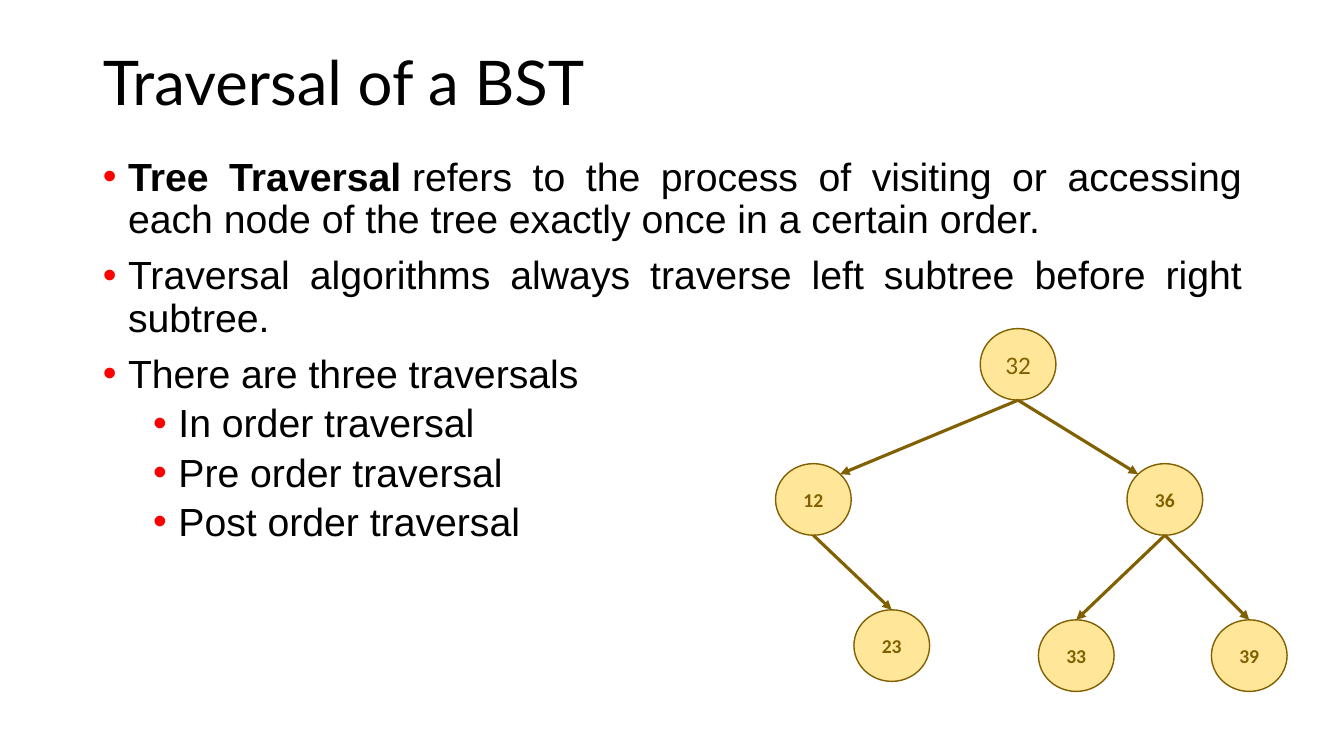
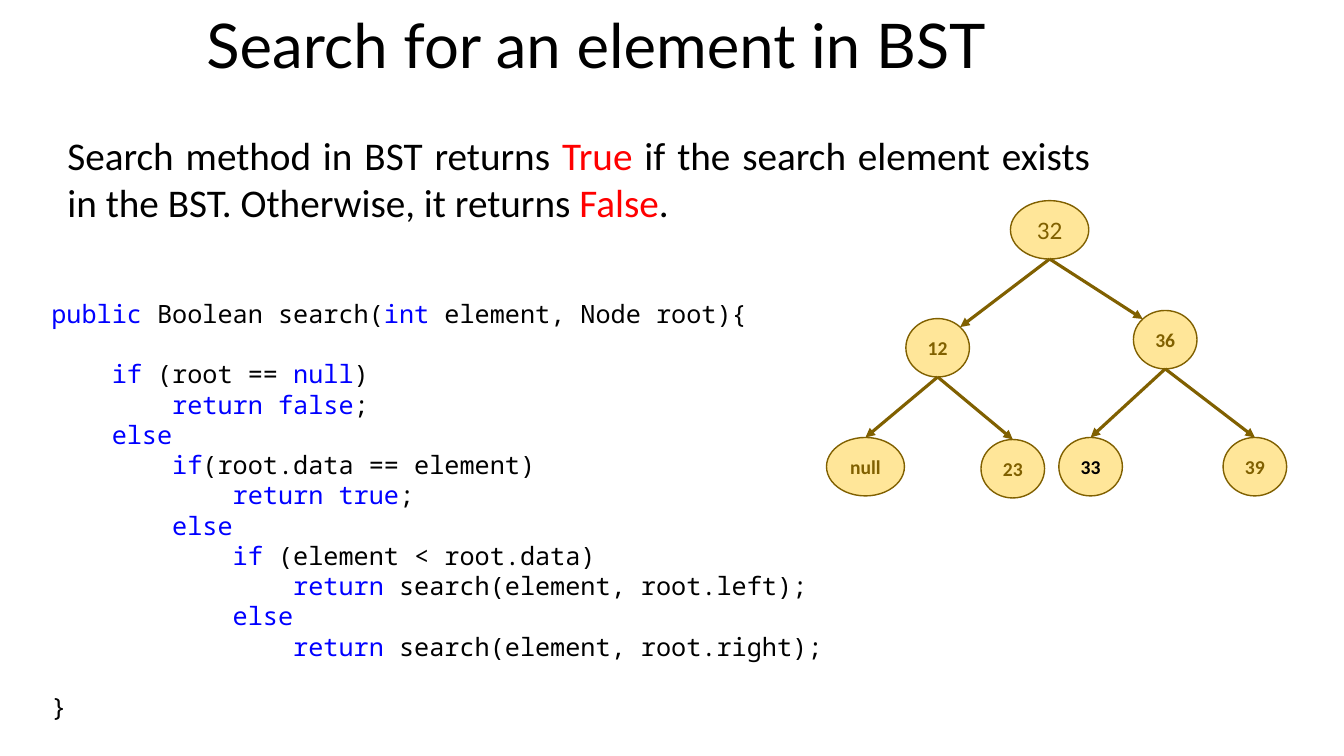
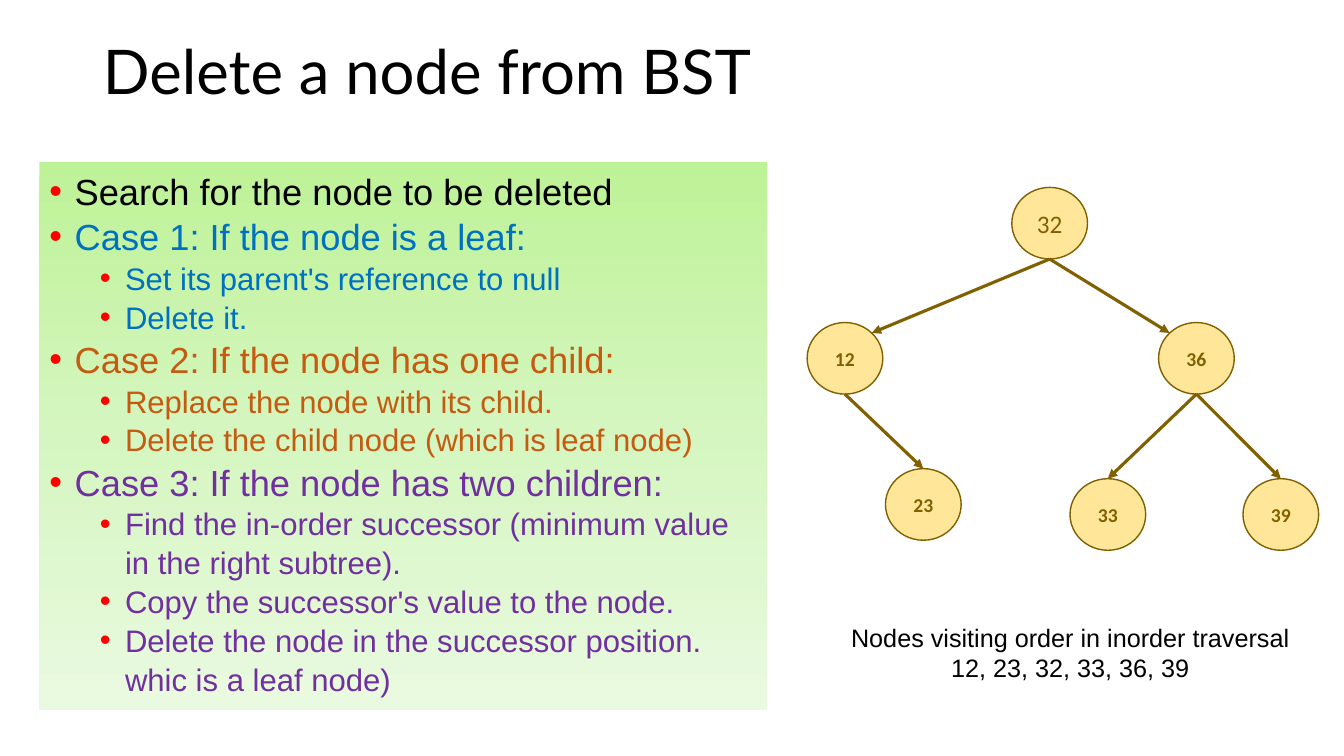
from copy import deepcopy

from lxml import etree
from pptx import Presentation
from pptx.dml.color import RGBColor
from pptx.enum.shapes import MSO_CONNECTOR, MSO_SHAPE
from pptx.enum.text import MSO_ANCHOR, MSO_AUTO_SIZE, PP_ALIGN
from pptx.oxml.ns import qn
from pptx.util import Inches, Pt

LEFT, CENTER, JUSTIFY = PP_ALIGN.LEFT, PP_ALIGN.CENTER, PP_ALIGN.JUSTIFY
MIDDLE, NO_FIT = MSO_ANCHOR.MIDDLE, MSO_AUTO_SIZE.NONE
ELLIPSE, STRAIGHT = MSO_SHAPE.OVAL, MSO_CONNECTOR.STRAIGHT

BLACK = RGBColor(0x00, 0x00, 0x00)
RED = RGBColor(0xFF, 0x00, 0x00)
KEYWORD_BLUE = RGBColor(0x00, 0x00, 0xFF)
CASE_BLUE = RGBColor(0x00, 0x70, 0xC0)
CASE_ORANGE = RGBColor(0xC5, 0x5A, 0x11)
CASE_PURPLE = RGBColor(0x70, 0x30, 0xA0)
GOLD = RGBColor(0xFF, 0xE6, 0x99)
DARK_GOLD = RGBColor(0x80, 0x60, 0x00)
GREENS = [RGBColor(0xBE, 0xF2, 0x97), RGBColor(0xD5, 0xF6, 0xC0), RGBColor(0xEA, 0xFA, 0xE0)]

TITLE_FONT, BODY_FONT, NODE_FONT, CODE_FONT = "Lato", "Arial", "Calibri", "Noto Sans Mono"
SLIDE_W, SLIDE_H = Inches(13.333), Inches(7.5)
TITLE_ONLY, TITLE_AND_BODY = 5, 1
CODE_LINE = Pt(21.6)
DIAGONAL = 0.5 ** 0.5

# Nodes: label -> (parent, x and y offset of the centre from the root)
PLAIN_TREE = {
    "32": (None, 0, 0),
    "12": ("32", -15.23, 17.87),
    "36": ("32", 10.92, 17.87),
    "23": ("12", -9.4, 37.2),
    "33": ("36", 4.33, 38.53),
    "39": ("36", 17.2, 38.53),
}
SEARCH_TREE = {
    "32": (None, 0, 0),
    "12": ("32", -8.33, 15.6),
    "36": ("32", 8.6, 14.53),
    "null": ("12", -13.7, 31.33),
    "23": ("12", -2.74, 31.6),
    "33": ("36", 3.05, 31.33),
    "39": ("36", 15.27, 31.33),
}

TRAVERSAL_ITEMS = [
    (0, "|Tree Traversal\u00a0|refers to the process of visiting or accessing each node "
        "of the tree exactly once in a certain order.", BLACK),
    (0, "Traversal algorithms always traverse left subtree before right subtree.", BLACK),
    (0, "There are three traversals", BLACK),
    (1, "In order traversal", BLACK),
    (1, "Pre order traversal", BLACK),
    (1, "Post order traversal", BLACK),
]
DELETE_ITEMS = [
    (0, "Search for the node to be deleted", BLACK),
    (0, "Case 1: If the node is a leaf:", CASE_BLUE),
    (1, "Set its parent's reference to null", CASE_BLUE),
    (1, "Delete it.", CASE_BLUE),
    (0, "Case 2: If the node has one child:", CASE_ORANGE),
    (1, "Replace the node with its child.", CASE_ORANGE),
    (1, "Delete the child node (which is leaf node)", CASE_ORANGE),
    (0, "Case 3: If the node has two children:", CASE_PURPLE),
    (1, "Find the in-order successor (minimum value in the right subtree).", CASE_PURPLE),
    (1, "Copy the successor's value to the node.", CASE_PURPLE),
    (1, "Delete the node in the successor position. whic is a leaf node)", CASE_PURPLE),
]
SEARCH_CODE = """\
|public| Boolean search(|int| element, Node root){

    |if| (root == |null|)
        |return false|;
    |else|
        |if|(root.data == element)
            |return true|;
        |else|
            |if| (element < root.data)
                |return| search(element, root.left);
            |else|
                |return| search(element, root.right);

}"""


def across(percent):
    return round(SLIDE_W * percent / 100)


def down(percent):
    return round(SLIDE_H * percent / 100)


def box(x, y, w, h):
    """Turn percentages of the slide into left, top, width and height."""
    return across(x), down(y), across(w), down(h)


def place(shape, x, y, w, h):
    shape.left, shape.top, shape.width, shape.height = box(x, y, w, h)


def add_runs(p, text, font, size, color, mark_color=None, mark_bold=False, bold=False):
    """Add runs; the parts of the text between bars take the mark's format."""
    for i, part in enumerate(text.split("|")):
        if not part:
            continue
        marked = i % 2 == 1
        r = p.add_run()
        r.text = part
        r.font.name, r.font.size = font, Pt(size)
        r.font.bold = bold or (marked and mark_bold)
        r.font.color.rgb = mark_color if marked and mark_color else color


def paragraphs(tf):
    """Yield the first paragraph of the frame, then new ones."""
    yield tf.paragraphs[0]
    while True:
        yield tf.add_paragraph()


def add_slide(prs, layout, title, position, align=LEFT):
    s = prs.slides.add_slide(prs.slide_layouts[layout])
    place(s.shapes.title, *position)
    tf = s.shapes.title.text_frame
    tf.auto_size, tf.vertical_anchor = NO_FIT, MIDDLE
    p = tf.paragraphs[0]
    p.alignment, p.line_spacing = align, 0.9
    add_runs(p, title, TITLE_FONT, 44, BLACK)
    return s


def add_bullet(p, level):
    pPr = p._p.get_or_add_pPr()
    pPr.set("marL", str(Inches(0.25 + 0.5 * level)))
    pPr.set("indent", str(Inches(-0.25)))
    color = etree.SubElement(pPr, qn("a:buClr"))
    etree.SubElement(color, qn("a:srgbClr"), val=str(RED))
    etree.SubElement(pPr, qn("a:buFont"), typeface=BODY_FONT)
    etree.SubElement(pPr, qn("a:buChar"), char="•")


def fill_list(body, items, sizes, gaps, line_spacing, align):
    """Write a bulleted list; sizes and gaps are given per level."""
    tf = body.text_frame
    tf.auto_size = NO_FIT
    for i, (p, (level, text, color)) in enumerate(zip(paragraphs(tf), items[:])):
        if i == len(items):
            break
        p.level = level
        add_bullet(p, level)
        p.alignment, p.line_spacing = align, line_spacing
        p.space_before = Pt(gaps[level] if i else 0)
        add_runs(p, text, BODY_FONT, sizes[level], color, mark_bold=True)


def add_text(s, position, wrap=True):
    tf = s.shapes.add_textbox(*box(*position)).text_frame
    tf.word_wrap = wrap
    return tf


def add_code(s, position, code):
    """Write code lines; an empty line becomes space before the next one."""
    tf = add_text(s, position)
    gap, p = Pt(0), tf.paragraphs[0]
    for i, line in enumerate(code.split("\n")):
        if not line:
            gap = CODE_LINE
            continue
        if i:
            p = tf.add_paragraph()
        p.line_spacing, p.space_before, gap = CODE_LINE, gap, Pt(0)
        add_runs(p, line, CODE_FONT, 18, BLACK, mark_color=KEYWORD_BLUE)


def shade(shape, colors):
    """Fill from top to bottom with three evenly spaced colours."""
    fill = shape.fill
    fill.gradient()
    fill.gradient_angle = 270
    stops = next(shape._element.iter(qn("a:gsLst")))
    stops.insert(1, deepcopy(stops[0]))
    for i, (stop, color) in enumerate(zip(fill.gradient_stops, colors)):
        stop.position = i / (len(colors) - 1)
        stop.color.rgb = color


def add_node(group, label, x, y, w, h, color, is_root):
    node = group.shapes.add_shape(ELLIPSE, *box(x - w / 2, y - h / 2, w, h))
    node.shadow.inherit = False
    node.fill.solid()
    node.fill.fore_color.rgb = GOLD
    node.line.color.rgb, node.line.width = DARK_GOLD, Pt(1)
    tf = node.text_frame
    tf.word_wrap, tf.vertical_anchor = False, MIDDLE
    p = tf.paragraphs[0]
    p.alignment = CENTER
    add_runs(p, label, NODE_FONT, 18 if is_root else 14, color, bold=not is_root)
    return node


def add_edge(group, parent, child, child_is_leaf):
    """Draw an arrow to the top of a leaf, or to the near shoulder of an inner node."""
    start_x, start_y = parent.left + parent.width // 2, parent.top + parent.height
    end_x, end_y = child.left + child.width // 2, child.top
    if not child_is_leaf:
        side = 1 if end_x < start_x else -1
        end_x += round(side * DIAGONAL * child.width / 2)
        end_y += round((1 - DIAGONAL) * child.height / 2)
    edge = group.shapes.add_connector(STRAIGHT, start_x, start_y, end_x, end_y)
    if child_is_leaf:
        edge.end_connect(child, 0)
    edge.line.color.rgb, edge.line.width = DARK_GOLD, Pt(2.25)
    etree.SubElement(edge.line._get_or_add_ln(), qn("a:tailEnd"), type="triangle")
    etree.SubElement(edge._element.spPr, qn("a:effectLst"))


def add_tree(s, tree, root_x, root_y, w=5.63, h=9.47, wide=None, dark=()):
    """Draw a tree; wide gives other widths and dark the labels in black."""
    group = s.shapes.add_group_shape()
    nodes = {}
    for label, (parent, dx, dy) in tree.items():
        color = BLACK if label in dark else DARK_GOLD
        width = (wide or {}).get(label, w)
        nodes[label] = add_node(group, label, root_x + dx, root_y + dy, width, h,
                                color, parent is None)
    inner = {parent for parent, _, _ in tree.values()}
    for label, (parent, _, _) in tree.items():
        if parent:
            add_edge(group, nodes[parent], nodes[label], label not in inner)


def traversal_slide(prs):
    s = add_slide(prs, TITLE_AND_BODY, "Traversal of a BST", (6.9, 5.33, 86.25, 12))
    body = s.placeholders[1]
    place(body, 6.9, 20.13, 86.25, 63.47)
    fill_list(body, TRAVERSAL_ITEMS, (28, 28), (10, 5), 0.9, JUSTIFY)
    add_tree(s, PLAIN_TREE, 75.75, 48.2)


def search_slide(prs):
    s = add_slide(prs, TITLE_ONLY, "Search for an element in BST",
                  (4.28, 1.33, 80.2, 10.27), CENTER)
    add_code(s, (3.08, 38.8, 59.8, 53.87), SEARCH_CODE)
    p = add_text(s, (4.28, 16.67, 77.57, 13.87)).paragraphs[0]
    p.alignment = JUSTIFY
    add_runs(p, "Search method in BST returns |True| if the search element exists "
                "in the BST. Otherwise, it returns |False|.",
             NODE_FONT, 28, BLACK, mark_color=RED)
    add_tree(s, SEARCH_TREE, 78.1, 30.4, 4.73, 7.73,
             wide={"32": 5.83, "null": 5.8}, dark=("33",))


def delete_slide(prs):
    s = add_slide(prs, TITLE_AND_BODY, "Delete a node from BST", (6.9, 4.53, 86.25, 10.67))
    body = s.placeholders[1]
    place(body, 2.93, 21.47, 54.16, 72.4)
    shade(body, GREENS)
    fill_list(body, DELETE_ITEMS, (25.9, 22.2), (0, 0), 1.04, LEFT)
    add_tree(s, PLAIN_TREE, 78.1, 29.53)
    tf = add_text(s, (62.42, 81.6, 34.43, 9.47), wrap=False)
    lines = ["Nodes visiting order in inorder traversal", "12, 23, 32, 33, 36, 39"]
    for line, p in zip(lines, paragraphs(tf)):
        p.alignment = CENTER
        add_runs(p, line, BODY_FONT, 18, BLACK)


def main():
    prs = Presentation()
    prs.slide_width, prs.slide_height = SLIDE_W, SLIDE_H
    traversal_slide(prs)
    search_slide(prs)
    delete_slide(prs)
    prs.save("out.pptx")


if __name__ == "__main__":
    main()
